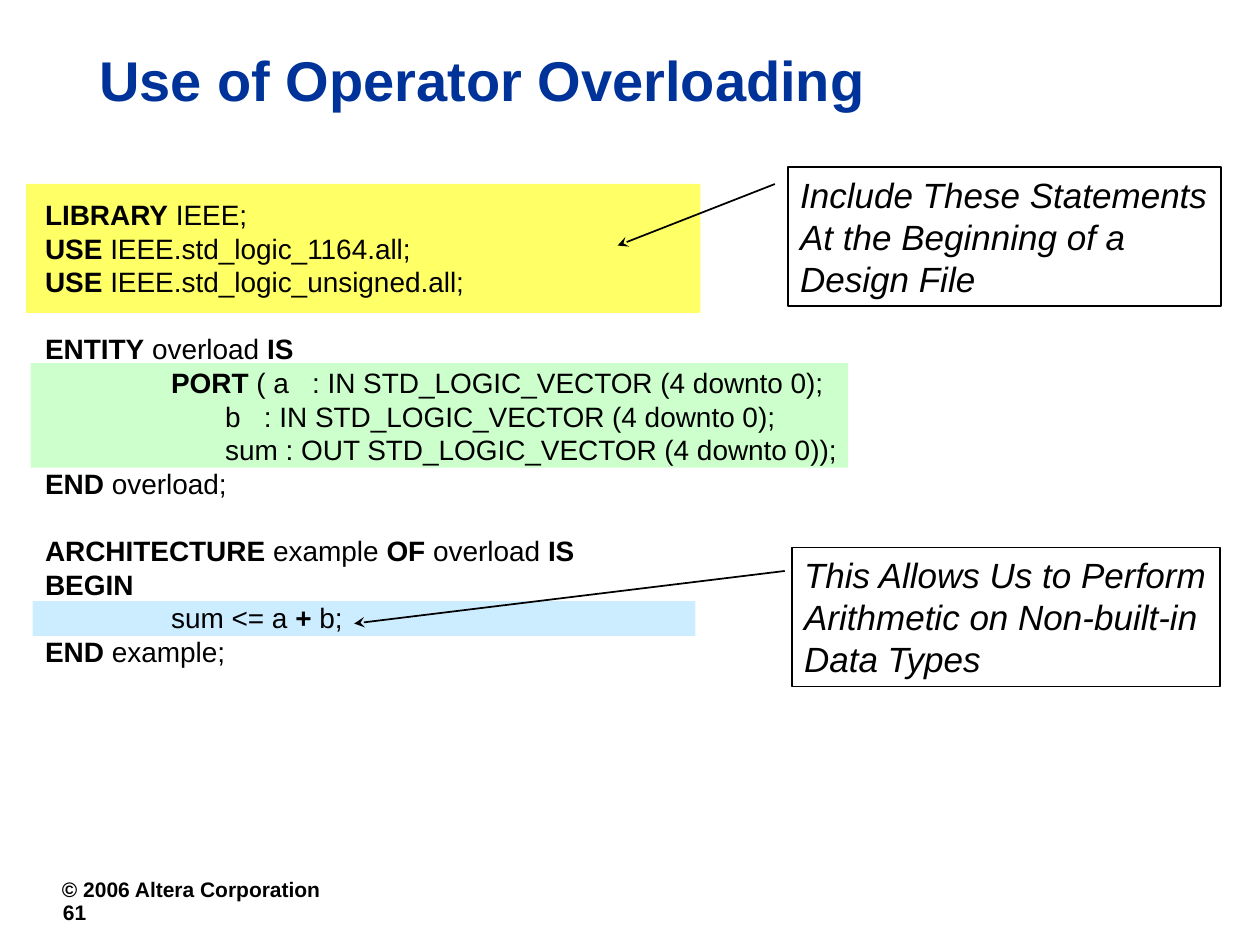
from dataclasses import dataclass

from lxml.etree import SubElement
from pptx import Presentation
from pptx.dml.color import RGBColor
from pptx.enum.shapes import MSO_CONNECTOR, MSO_SHAPE
from pptx.enum.text import MSO_ANCHOR
from pptx.oxml.ns import qn
from pptx.util import Cm, Pt


@dataclass(frozen=True)
class Theme:
    font: str = "Arial"
    ink: str = "000000"
    title: str = "003399"
    yellow: str = "FFFF66"
    green: str = "CCFFCC"
    blue: str = "CCECFF"
    head_size: int = 32
    note_size: int = 20
    code_size: int = 16
    foot_size: int = 12
    leading: float = 1.2
    stroke: float = 1


THEME = Theme()

CODE = """*LIBRARY* IEEE;
*USE* IEEE.std_logic_1164.all;
*USE* IEEE.std_logic_unsigned.all;

*ENTITY* overload *IS*
\t*PORT* ( a   : IN STD_LOGIC_VECTOR (4 downto 0);
\t       b   : IN STD_LOGIC_VECTOR (4 downto 0);
\t       sum : OUT STD_LOGIC_VECTOR (4 downto 0));
*END* overload;

*ARCHITECTURE* example *OF* overload *IS*
*BEGIN*
\tsum <= a *+ *b;
*END* example;"""


def color(code):
    return RGBColor.from_string(code)


def add_tab(para):
    tabs = SubElement(para._p.get_or_add_pPr(), qn("a:tabLst"))
    SubElement(tabs, qn("a:tab"), pos=str(Cm(2.54)), algn="l")


def add_text(slide, words, area, size, ink=THEME.ink, bold=False,
             italic=False, wrap=False, anchor=MSO_ANCHOR.TOP, border=False):
    box = slide.shapes.add_textbox(*map(Cm, area))
    frame = box.text_frame
    frame.word_wrap = wrap
    frame.vertical_anchor = anchor
    if border:
        box.line.color.rgb = color(THEME.ink)
        box.line.width = Pt(THEME.stroke)
    pitch = Pt(size * THEME.leading)
    first = True
    for block in words.split("\n\n"):
        for index, line in enumerate(block.split("\n")):
            para = frame.paragraphs[0] if first else frame.add_paragraph()
            if "\t" in line:
                add_tab(para)
            para.line_spacing = pitch
            if index == 0 and not first:
                para.space_before = pitch
            first = False
            for turn, part in enumerate(line.split("*")):
                if part:
                    run = para.add_run()
                    run.text = part
                    font = run.font
                    font.name, font.size = THEME.font, Pt(size)
                    font.bold = bold or turn % 2 == 1
                    font.italic = italic
                    font.color.rgb = color(ink)


def add_band(slide, area, fill):
    band = slide.shapes.add_shape(MSO_SHAPE.RECTANGLE, *map(Cm, area))
    band.shadow.inherit = False
    band.fill.solid()
    band.fill.fore_color.rgb = color(fill)
    band.line.fill.background()


def add_arrow(slide, start, end):
    arrow = slide.shapes.add_connector(
        MSO_CONNECTOR.STRAIGHT, *map(Cm, start + end))
    arrow.line.color.rgb = color(THEME.ink)
    arrow.line.width = Pt(THEME.stroke)
    SubElement(arrow.line._get_or_add_ln(), qn("a:tailEnd"), type="stealth")
    SubElement(arrow._element.spPr, qn("a:effectLst"))


def main():
    deck = Presentation()
    deck.slide_width, deck.slide_height = Cm(25.4), Cm(19.05)
    slide = deck.slides.add_slide(deck.slide_layouts[6])

    add_text(slide, "© 2006 Altera Corporation", (1, 17.55, 11.8, 1.07),
             THEME.foot_size, bold=True, wrap=True)
    add_text(slide, "61", (1.02, 18.01, 1.93, 0.79),
             THEME.foot_size, bold=True, wrap=True)
    add_text(slide, "Use of Operator Overloading", (1.75, 0, 21.6, 3.18),
             THEME.head_size, ink=THEME.title, bold=True, wrap=True,
             anchor=MSO_ANCHOR.MIDDLE)

    notes = [
        ("Include These Statements\nAt the Beginning of a\nDesign File",
         (15.88, 3.37, 8.73, 2.8)),
        ("This Allows Us to Perform\nArithmetic on Non-built-in\nData Types",
         (15.96, 11.04, 8.64, 2.8)),
    ]
    for words, area in notes:
        add_text(slide, words, area, THEME.note_size, italic=True, border=True)

    bands = [
        ((0.53, 3.71, 13.59, 2.6), THEME.yellow),
        ((0.62, 7.32, 16.48, 2.11), THEME.green),
        ((0.66, 12.12, 13.36, 0.7), THEME.blue),
    ]
    for area, fill in bands:
        add_band(slide, area, fill)
    add_text(slide, CODE, (0.66, 3.86, 16.5, 9.73), THEME.code_size)

    add_arrow(slide, (15.62, 3.71), (12.45, 4.95))
    add_arrow(slide, (15.82, 11.51), (7.14, 12.57))
    deck.save("out.pptx")


if __name__ == "__main__":
    main()
